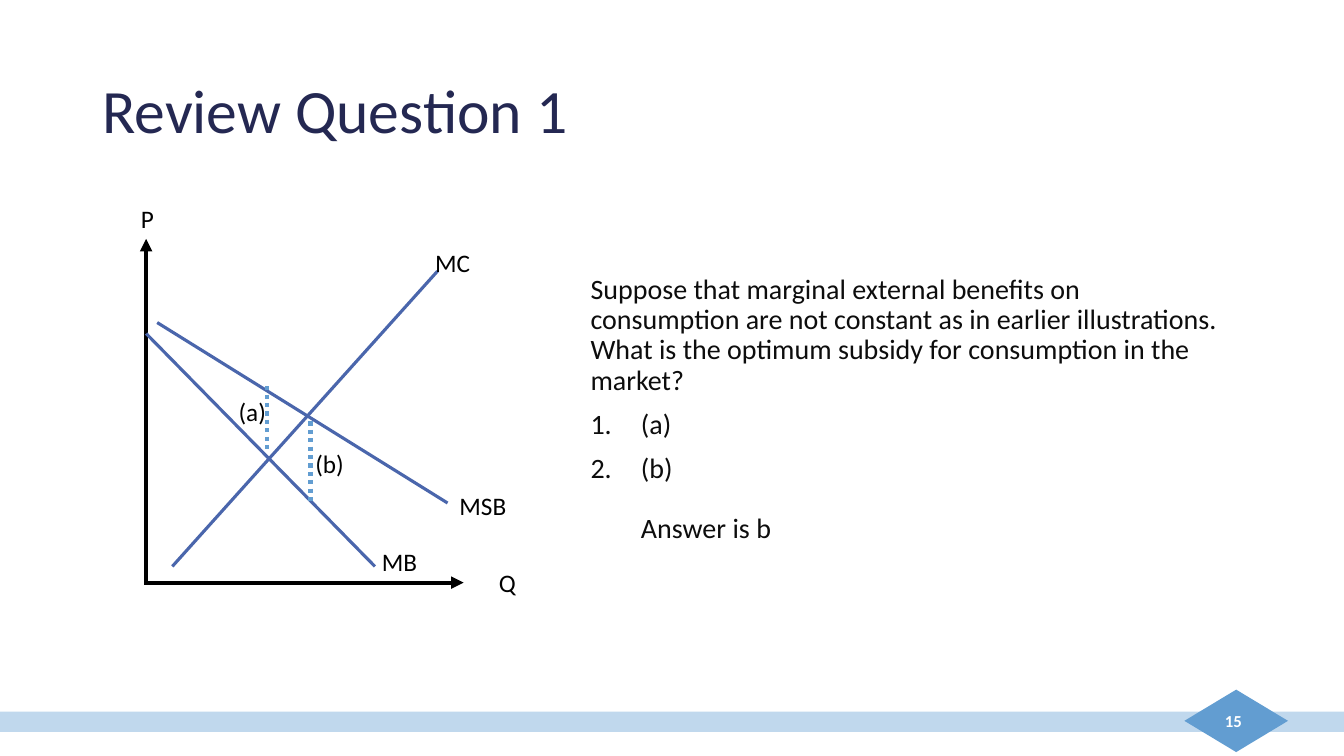
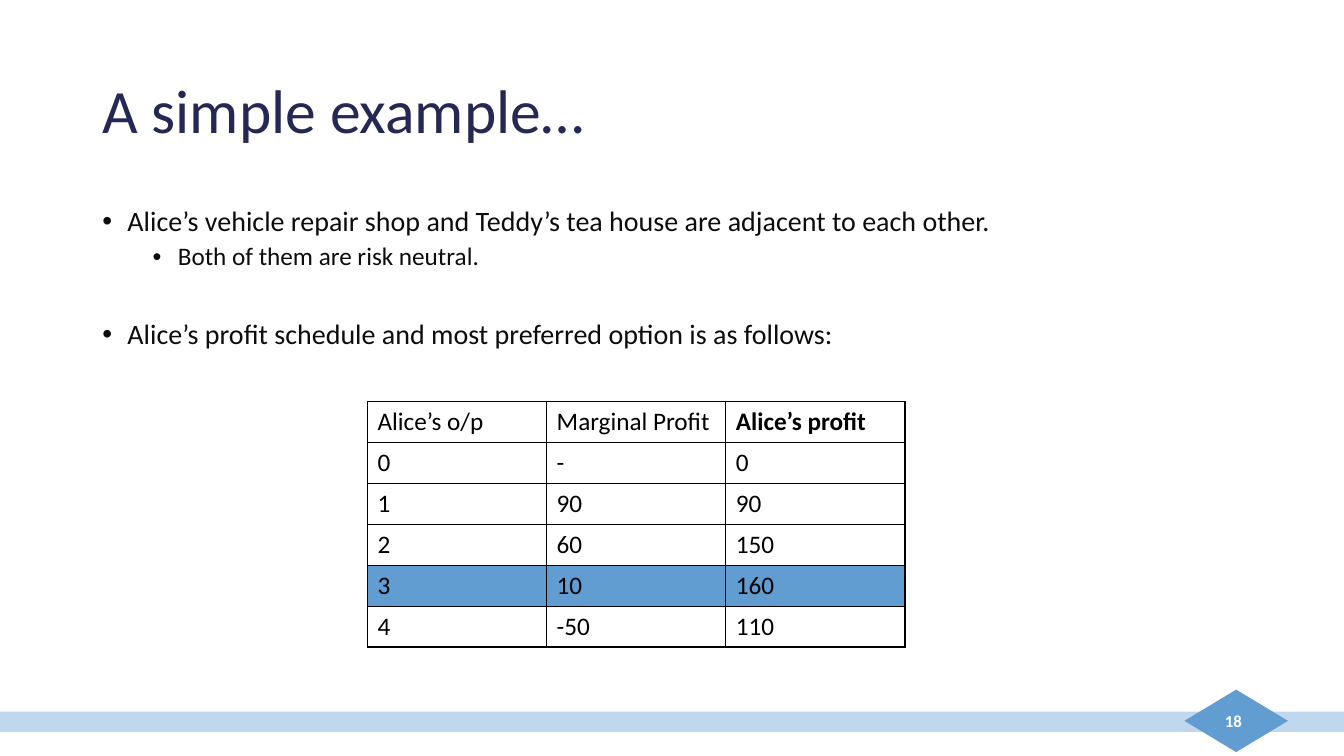
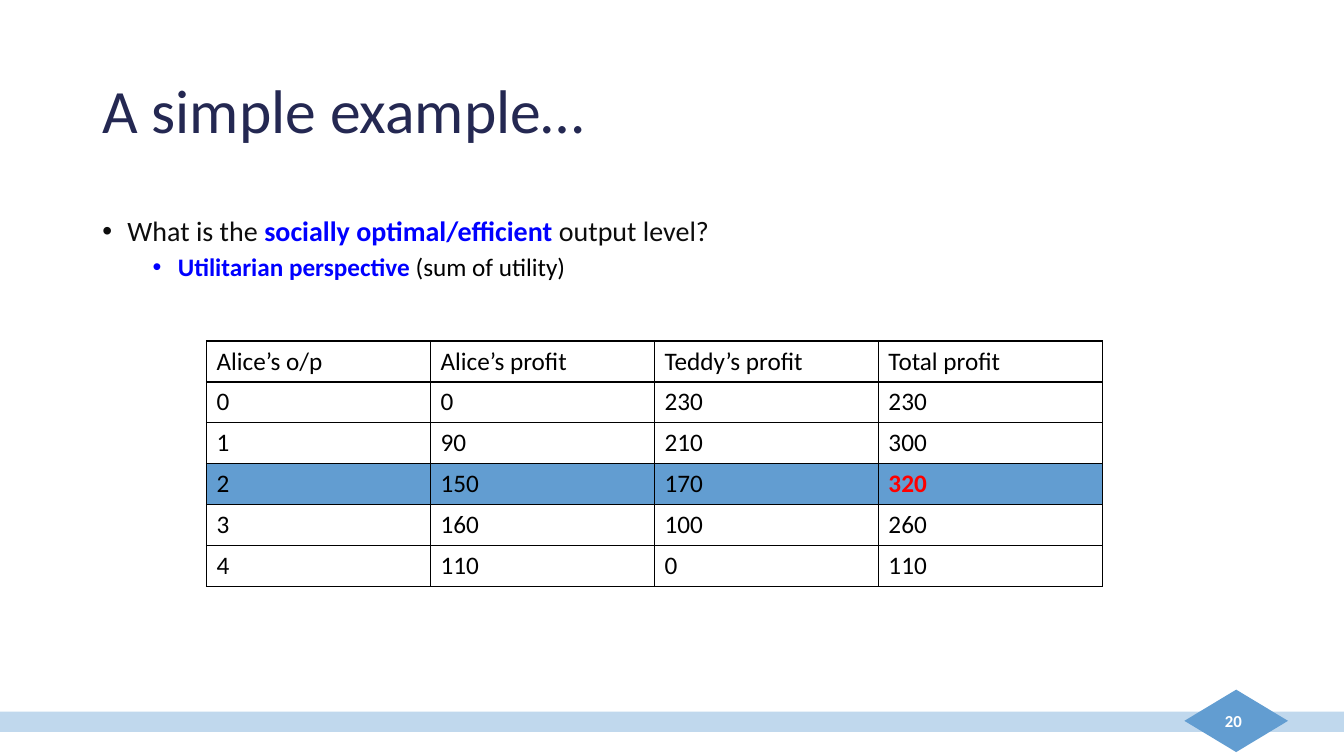
from lxml import etree
from pptx import Presentation
from pptx import util as u
from pptx.dml.color import RGBColor
from pptx.enum import dml, shapes, text
from pptx.oxml.ns import qn

Pt = u.Pt
NAVY = RGBColor(0x24, 0x28, 0x52)
INK = RGBColor(0x0D, 0x0D, 0x0D)
BLACK = RGBColor(0, 0, 0)
WHITE = RGBColor(0xFF, 0xFF, 0xFF)
BLUE = RGBColor(0x62, 0x9D, 0xD1)
PALE = RGBColor(0xC0, 0xD8, 0xED)
INDIGO = RGBColor(0x4A, 0x66, 0xAC)
BRIGHT = RGBColor(0, 0, 0xFF)
RED = RGBColor(0xFF, 0, 0)

LEFT, MIDDLE = 66, text.MSO_ANCHOR.MIDDLE
KEY = {"color": BRIGHT, "bold": True}
BODY = {"size": 20, "color": INK}
SUB = {"size": 18, "color": INK}
LABEL = {"size": 18, "color": BLACK}
BULLET = ("buChar", "char", "•")
NUMBER = ("buAutoNum", "type", "arabicPeriod")
KINDS = {
    "plain": (0, 0, 0, None, BODY),
    "bullet": (0, 18, -18, BULLET, BODY),
    "sub": (1, 54, -18, BULLET, SUB),
    "number": (0, 36, -36, NUMBER, BODY),
    "answer": (0, 36, 0, None, BODY),
}


def write(p, runs, fmt):
    for words, extra in runs:
        r = p.add_run()
        r.text = words
        f = {"name": "Calibri", "bold": False, **fmt, **extra}
        r.font.color.rgb = f.pop("color")
        f["size"] = Pt(f["size"])
        for key, value in f.items():
            setattr(r.font, key, value)


def text_box(s, box, words=None, fmt=None, anchor=text.MSO_ANCHOR.TOP, **para):
    tf = s.shapes.add_textbox(*map(Pt, box)).text_frame
    tf.word_wrap = True
    tf.vertical_anchor = anchor
    p = tf.paragraphs[0]
    for key, value in para.items():
        setattr(p, key, value)
    if words:
        write(p, [(words, {})], fmt)
    return tf


prs = Presentation()
prs.slide_width, prs.slide_height = Pt(960), Pt(540)

pages = [
    {
        "title": "Review Question 1", "number": "15",
        "body": (414.7, 193, 473.8, 276),
        "paras": [
            ("plain", 0, [("Suppose that marginal external benefits on consumption are not "
                           "constant as in earlier illustrations. What is the optimum subsidy "
                           "for consumption in the market?", {})]),
            ("number", 10, [("(a)", {})]),
            ("number", 10, [("(b)", {})]),
            ("answer", 21.5, [("Answer is b", {})]),
        ],
        "lines": [
            (104.4, 416.2, 104.4, 170.6, BLACK, 3, "arrow"),
            (103, 416.2, 331.2, 416.2, BLACK, 3, "arrow"),
            (123.1, 404.6, 312.5, 193.7, INDIGO, 2.25, "solid"),
            (112.3, 230.4, 319.7, 359.3, INDIGO, 2.25, "solid"),
            (104.4, 238.3, 267.8, 404.6, INDIGO, 2.25, "solid"),
            (190.8, 275.8, 190.8, 321.8, BLUE, 3, "dots"),
            (221.8, 301, 221.8, 359.3, BLUE, 3, "dots"),
        ],
        "labels": [
            ("P", 93.6, 141.8), ("MSB", 321.1, 347), ("MC", 303.8, 172.8),
            ("MB", 265.7, 386.6), ("Q", 349.2, 401.8),
            ("(a)", 163.4, 279.4), ("(b)", 218.2, 316.8),
        ],
    },
    {
        "title": "A simple example…", "number": "18",
        "body": (LEFT, 144.3, 803.5, 344),
        "paras": [
            ("bullet", 0, [("Alice’s vehicle repair shop and Teddy’s tea house are adjacent "
                            "to each other.", {})]),
            ("sub", 5, [("Both of them are risk neutral.", {})]),
            ("bullet", 34.8, [("Alice’s profit schedule and most preferred option is as "
                               "follows:", {})]),
        ],
        "table": (262.5, 287, 128),
        "rows": [
            ["Alice’s o/p", "Marginal Profit", "Alice’s profit"],
            ["0", "-", "0"],
            ["1", "90", "90"],
            ["2", "60", "150"],
            ["3", "10", "160"],
            ["4", "-50", "110"],
        ],
        "best": 4,
        "special": {(0, 2): {"bold": True}},
    },
    {
        "title": "A simple example…", "number": "20",
        "body": (LEFT, 151.5, 803.5, 342),
        "paras": [
            ("bullet", 0, [("What is the ", {}), ("socially optimal/efficient ", KEY),
                           ("output level?", {})]),
            ("sub", 5, [("Utilitarian perspective ", KEY),
                        ("(sum of utility)", {"color": BLACK})]),
        ],
        "table": (147.5, 243.6, 160),
        "rows": [
            ["Alice’s o/p", "Alice’s profit", "Teddy’s profit", "Total profit"],
            ["0", "0", "230", "230"],
            ["1", "90", "210", "300"],
            ["2", "150", "170", "320"],
            ["3", "160", "100", "260"],
            ["4", "110", "0", "110"],
        ],
        "best": 3,
        "special": {(3, 3): {"bold": True, "color": RED}},
    },
]

for page in pages:
    s = prs.slides.add_slide(prs.slide_layouts[6])
    for kind, box, color in [
        (shapes.MSO_SHAPE.RECTANGLE, (0, 508.4, 960, 14.4), PALE),
        (shapes.MSO_SHAPE.DIAMOND, (846, 492.6, 74, 44.6), BLUE),
    ]:
        sp = s.shapes.add_shape(kind, *map(Pt, box))
        sp.shadow.inherit = False
        sp.fill.solid()
        sp.fill.fore_color.rgb = color
        sp.line.fill.background()

    text_box(s, (LEFT, 28.8, 828, 104.4), page["title"], {"size": 44, "color": NAVY},
             MIDDLE, line_spacing=0.9)
    text_box(s, (678.2, 500.4, 216, 28.8), page["number"],
             {"size": 12, "color": WHITE, "bold": True}, MIDDLE,
             alignment=text.PP_ALIGN.RIGHT)

    for x1, y1, x2, y2, color, width, look in page.get("lines", []):
        c = s.shapes.add_connector(shapes.MSO_CONNECTOR.STRAIGHT, *map(Pt, (x1, y1, x2, y2)))
        c.line.color.rgb = color
        c.line.width = Pt(width)
        if look == "dots":
            c.line.dash_style = dml.MSO_LINE.ROUND_DOT
        if look == "arrow":
            etree.SubElement(c.line._get_or_add_ln(), qn("a:tailEnd"), type="triangle")
        etree.SubElement(c._element.spPr, qn("a:effectLst"))

    for words, x, y in page.get("labels", []):
        text_box(s, (x, y, 72, 28.8), words, LABEL)

    tf = text_box(s, page["body"])
    for i, (kind, before, runs) in enumerate(page["paras"]):
        level, margin, indent, mark, fmt = KINDS[kind]
        p = tf.add_paragraph() if i else tf.paragraphs[0]
        p.level = level
        p.line_spacing = 0.9
        p.space_before = Pt(before)
        pPr = p._p.get_or_add_pPr()
        pPr.set("marL", str(Pt(margin)))
        pPr.set("indent", str(Pt(indent)))
        if mark:
            tag, key, value = mark
            etree.SubElement(pPr, qn("a:buFont"), typeface="Arial" if mark == BULLET else "+mj-lt")
            etree.SubElement(pPr, qn("a:" + tag), {key: value})
        write(p, runs, fmt)

    if "table" in page:
        x, y, col_width = page["table"]
        rows = page["rows"]
        n = len(rows[0])
        row_height = 29.2
        tbl = s.shapes.add_table(len(rows), n, Pt(x), Pt(y), Pt(col_width * n),
                                 Pt(row_height * len(rows))).table
        tbl.first_row = tbl.horz_banding = False
        for col in tbl.columns:
            col.width = Pt(col_width)
        for i, row in enumerate(rows):
            tbl.rows[i].height = Pt(row_height)
            for j, words in enumerate(row):
                cell = tbl.cell(i, j)
                tcPr = cell._tc.get_or_add_tcPr()
                for side in "LRTB":
                    ln = etree.SubElement(tcPr, qn("a:ln" + side), w=str(Pt(1)))
                    fill = etree.SubElement(ln, qn("a:solidFill"))
                    etree.SubElement(fill, qn("a:srgbClr"), val=str(BLACK))
                if i == page["best"]:
                    cell.fill.solid()
                    cell.fill.fore_color.rgb = BLUE
                else:
                    cell.fill.background()
                write(cell.text_frame.paragraphs[0],
                      [(words, page["special"].get((i, j), {}))], LABEL)

prs.save("out.pptx")
